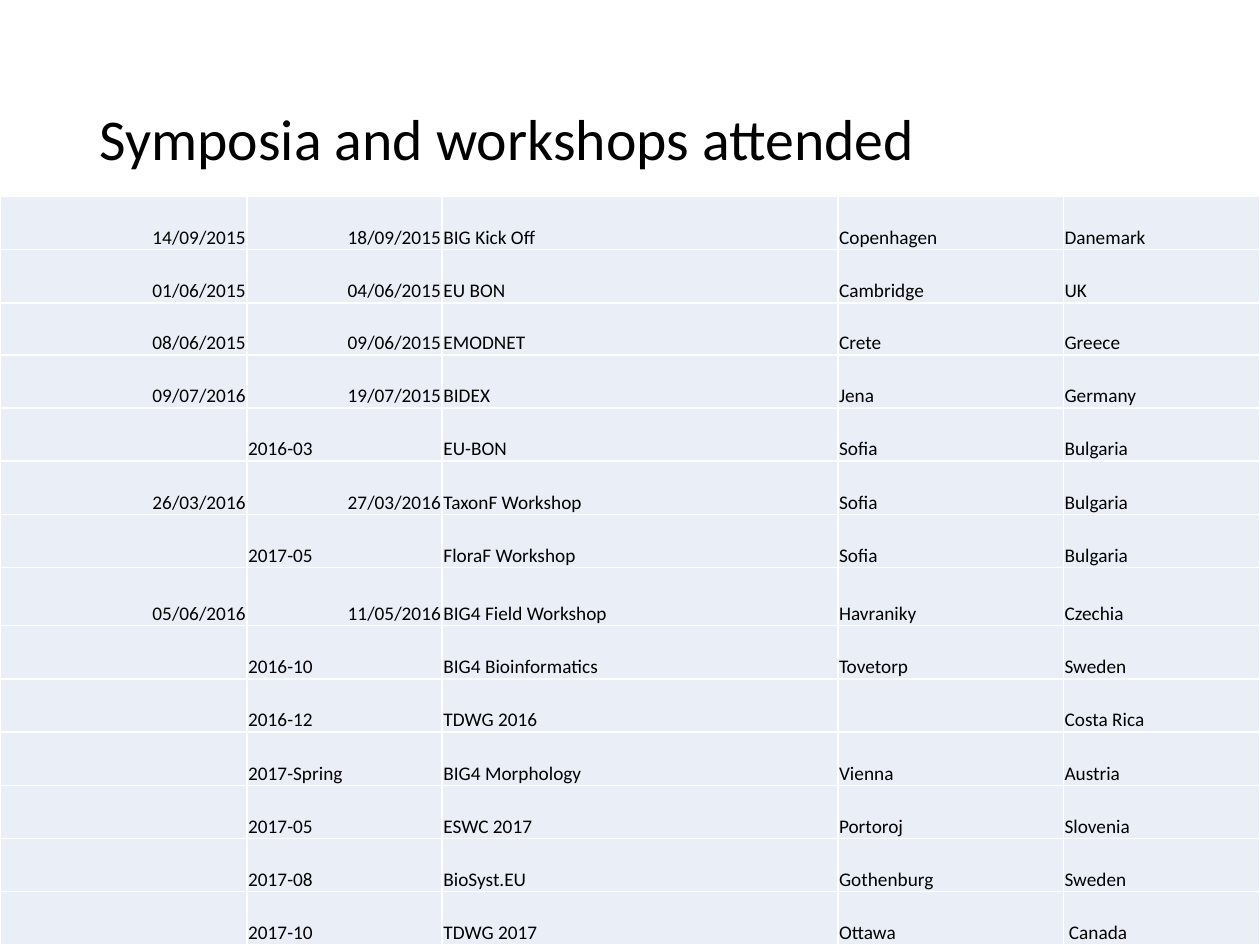
from lxml.etree import SubElement
from pptx import Presentation
from pptx.dml.color import RGBColor
from pptx.enum.text import MSO_ANCHOR as Anchor, PP_ALIGN as Align
from pptx.oxml.ns import qn
from pptx.util import Inches, Pt

COLORS = {"text": "000000", "cell": "EAEFF7", "border": "FFFFFF"}
FONT = "Calibri"
COLUMNS = [1.96, 1.55, 3.14, 1.79, 1.56]
ROW_HEIGHT = 0.42
ROW_EXCEPTIONS = {2: 0.41, 7: 0.46}
EVENTS = [
    ("14/09/2015", "18/09/2015", "BIG Kick Off", "Copenhagen", "Danemark"),
    ("01/06/2015", "04/06/2015", "EU BON", "Cambridge", "UK"),
    ("08/06/2015", "09/06/2015", "EMODNET", "Crete", "Greece"),
    ("09/07/2016", "19/07/2015", "BIDEX", "Jena", "Germany"),
    ("", "2016-03", "EU-BON", "Sofia", "Bulgaria"),
    ("26/03/2016", "27/03/2016", "TaxonF Workshop", "Sofia", "Bulgaria"),
    ("", "2017-05", "FloraF Workshop", "Sofia", "Bulgaria"),
    ("05/06/2016", "11/05/2016", "BIG4 Field Workshop", "Havraniky", "Czechia"),
    ("", "2016-10", "BIG4 Bioinformatics", "Tovetorp", "Sweden"),
    ("", "2016-12", "TDWG 2016", "", "Costa Rica"),
    ("", "2017-Spring", "BIG4 Morphology", "Vienna", "Austria"),
    ("", "2017-05", "ESWC 2017", "Portoroj", "Slovenia"),
    ("", "2017-08", "BioSyst.EU", "Gothenburg", "Sweden"),
    ("", "2017-10", "TDWG 2017", "Ottawa", " Canada"),
]


def write_text(frame, text, size, align=Align.LEFT, spacing=None):
    para = frame.paragraphs[0]
    para.alignment = align
    para.line_spacing = spacing
    if text:
        span = para.add_run()
        span.text = text
        span.font.name = FONT
        span.font.size = Pt(size)
        span.font.color.rgb = RGBColor.from_string(COLORS["text"])


def add_borders(cell):
    properties = cell._tc.get_or_add_tcPr()
    for side in ("lnL", "lnR", "lnT", "lnB"):
        line = SubElement(properties, qn(f"a:{side}"), w=str(Pt(1)))
        fill = SubElement(line, qn("a:solidFill"))
        SubElement(fill, qn("a:srgbClr"), val=COLORS["border"])


def format_cell(cell, text):
    add_borders(cell)
    cell.fill.solid()
    cell.fill.fore_color.rgb = RGBColor.from_string(COLORS["cell"])
    cell.vertical_anchor = Anchor.BOTTOM
    cell.margin_left = cell.margin_right = cell.margin_top = Inches(0.01)
    cell.margin_bottom = 0
    write_text(cell.text_frame, text, 11, Align.RIGHT if "/" in text else Align.LEFT)


def place_title(page, text, left, top, width, height):
    title = page.shapes.title
    title.left, title.top = Inches(left), Inches(top)
    title.width, title.height = Inches(width), Inches(height)
    title.text_frame.vertical_anchor = Anchor.MIDDLE
    write_text(title.text_frame, text, 33, spacing=0.9)


def place_events(page, left, top, width, height):
    box = page.shapes.add_table(
        len(EVENTS), len(COLUMNS), Inches(left), Inches(top), Inches(width), Inches(height))
    table = box.table
    table.first_row = table.horz_banding = False
    for column, share in zip(table.columns, COLUMNS):
        column.width = Inches(width * share / sum(COLUMNS))
    heights = [ROW_EXCEPTIONS.get(index, ROW_HEIGHT) for index in range(len(EVENTS))]
    for row, share, event in zip(table.rows, heights, EVENTS):
        row.height = Inches(height * share / sum(heights))
        for cell, text in zip(row.cells, event):
            format_cell(cell, text)


deck = Presentation()
deck.slide_width, deck.slide_height = Inches(10), Inches(7.5)
page = deck.slides.add_slide(deck.slide_layouts[5])
place_title(page, "Symposia and workshops attended", 0.69, 0.4, 8.62, 1.45)
place_events(page, 0, 1.56, 10, 5.94)
deck.save("out.pptx")
